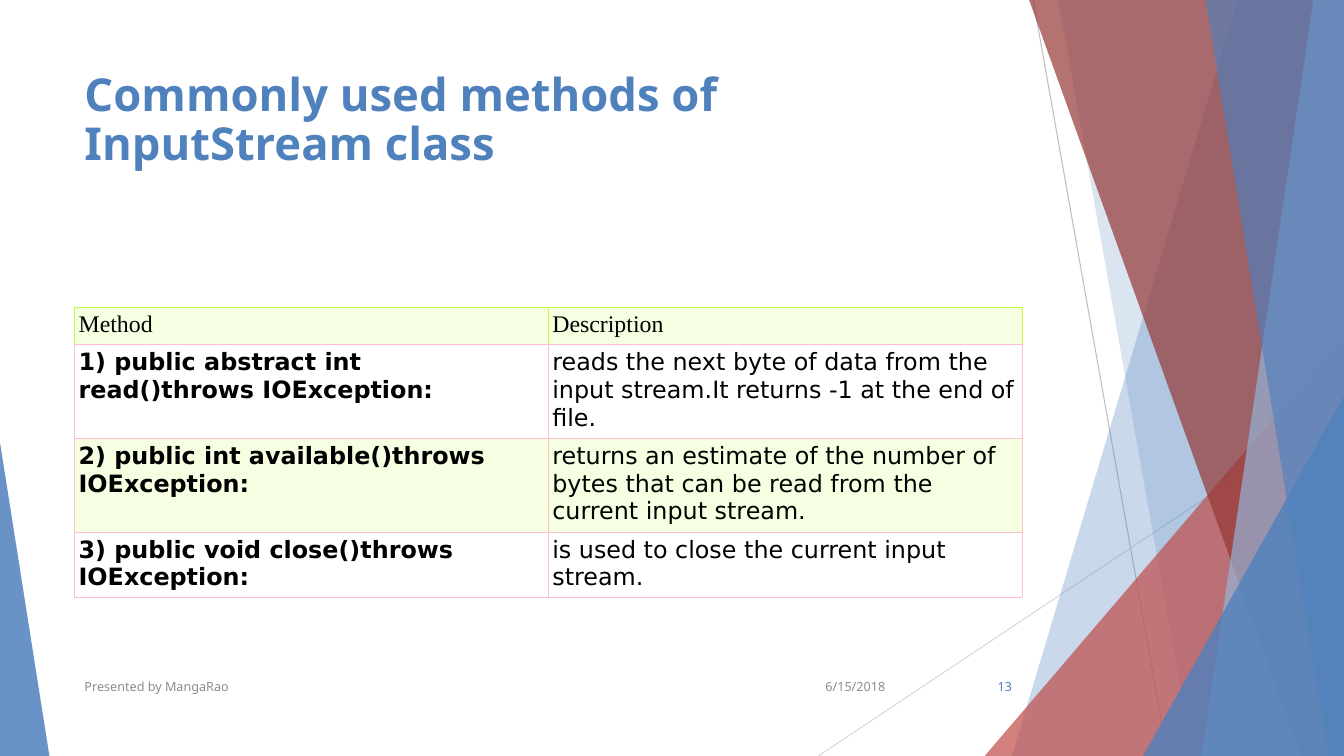
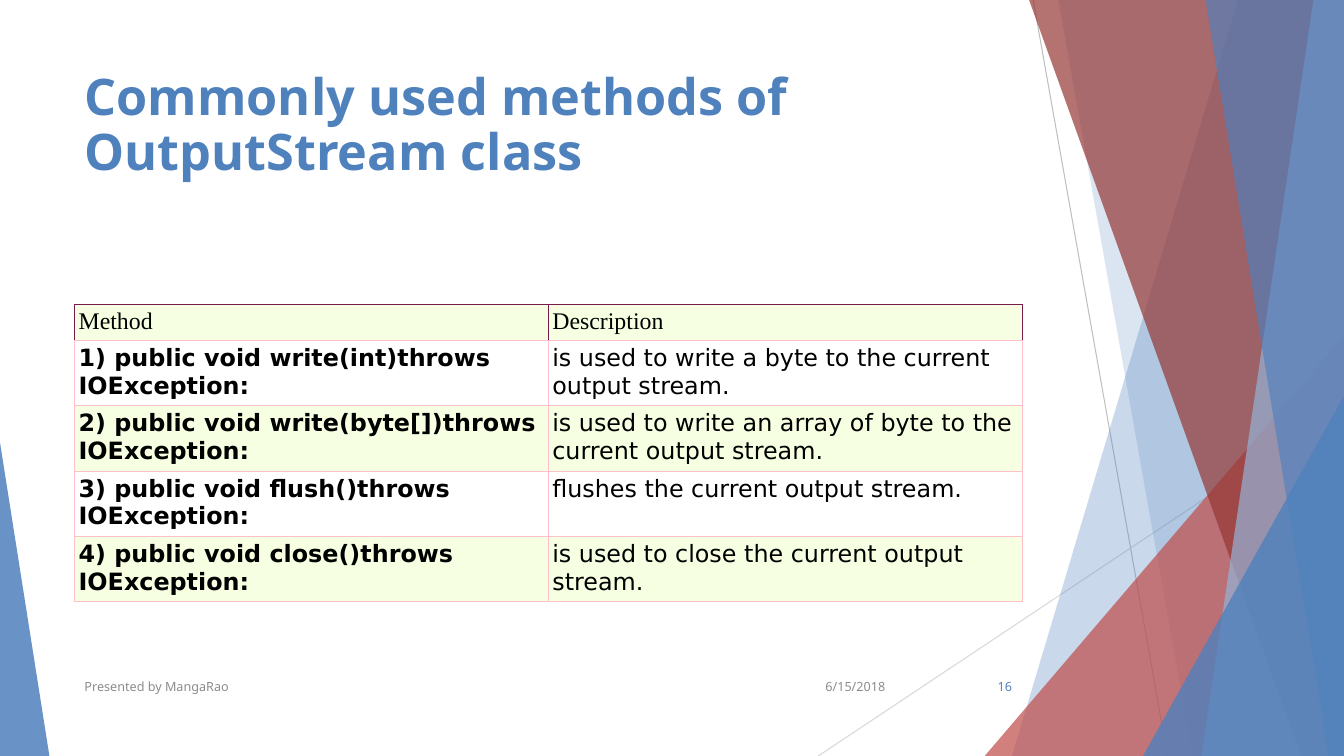
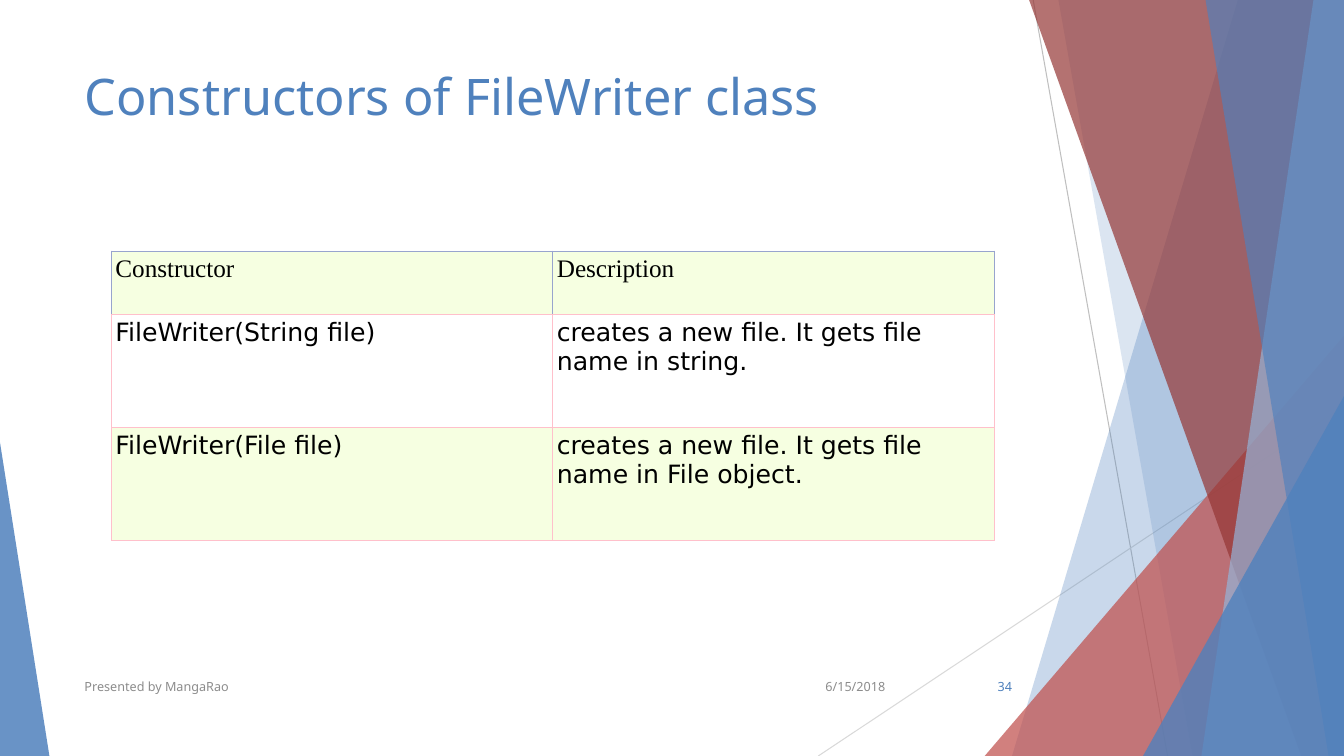
"""Build three slides that list Java stream methods and constructors in tables."""
from lxml.etree import SubElement
from pptx import Presentation
from pptx.dml.color import RGBColor
from pptx.enum.shapes import MSO_CONNECTOR as Connector, MSO_SHAPE as Shape
from pptx.enum.text import MSO_ANCHOR as Anchor, PP_ALIGN as Align
from pptx.oxml.ns import qn
from pptx.util import Pt

WIDTH, HEIGHT = 960, 540
COLORS = {
    "blue": "4F81BD", "pale_blue": "95B3D7", "red": "C0504D", "dark_red": "953735",
    "gray": "BFBFBF", "light_gray": "D9D9D9", "footer": "8C8C8C",
    "black": "000000", "white": "FFFFFF", "cream": "F6FFE1",
    "pink": "FFC0CB", "lime": "C0FC43", "plum": "781A4B", "lavender": "98A4CE",
}
TITLE_FONT, HEADER_FONT, BODY_FONT = "Noto Sans", "Times New Roman", "DejaVu Sans"
LEFT, CONTENT_WIDTH = 53.28, 676.8
CELL_MARGIN = 2.88
BORDER_WIDTH = 0.6

INPUT_ROWS = [
    ("Method", "Description"),
    ("1) public abstract int read()throws IOException:",
     "reads the next byte of data from the input stream.It returns -1 at the end of file."),
    ("2) public int available()throws IOException:",
     "returns an estimate of the number of bytes that can be read from the current input stream."),
    ("3) public void close()throws IOException:",
     "is used to close the current input stream."),
]
OUTPUT_ROWS = [
    ("Method", "Description"),
    ("1) public void write(int)throws IOException:",
     "is used to write a byte to the current output stream."),
    ("2) public void write(byte[])throws IOException:",
     "is used to write an array of byte to the current output stream."),
    ("3) public void flush()throws IOException:", "flushes the current output stream."),
    ("4) public void close()throws IOException:",
     "is used to close the current output stream."),
]
WRITER_ROWS = [
    ("Constructor", "Description"),
    ("FileWriter(String file)", "creates a new file. It gets file name in string."),
    ("FileWriter(File file)", "creates a new file. It gets file name in File object."),
]


def rgb(color):
    return RGBColor.from_string(COLORS[color])


def add_line(slide, start, end, color):
    line = slide.shapes.add_connector(Connector.STRAIGHT, *map(Pt, start + end))
    line.line.color.rgb = rgb(color)
    line.line.width = Pt(0.75)
    SubElement(line._element.spPr, qn("a:effectLst"))


def paint(shape, color, opacity):
    shape.shadow.inherit = False
    shape.line.fill.background()
    shape.fill.solid()
    shape.fill.fore_color.rgb = rgb(color)
    color_element = shape._element.spPr.find(qn("a:solidFill"))[0]
    SubElement(color_element, qn("a:alpha"), val=str(opacity * 1000))


def add_band(slide, top_x, bottom_x, color, opacity):
    builder = slide.shapes.build_freeform(Pt(top_x), 0)
    corners = [(WIDTH, 0), (WIDTH, HEIGHT), (bottom_x, HEIGHT)]
    builder.add_line_segments([(Pt(x), Pt(y)) for x, y in corners])
    paint(builder.convert_to_shape(), color, opacity)


def add_triangle(slide, left, top, width, apex, color, opacity):
    triangle = slide.shapes.add_shape(
        Shape.ISOSCELES_TRIANGLE, Pt(left), Pt(top), Pt(width), Pt(HEIGHT - top))
    triangle.adjustments[0] = apex
    paint(triangle, color, opacity)


def add_decoration(slide):
    add_line(slide, (738, 0), (834, HEIGHT), "gray")
    add_line(slide, (WIDTH, 290), (584.5, HEIGHT), "light_gray")
    add_band(slide, 884.2, 722.9, "blue", 30)
    add_band(slide, 756, 851.8, "blue", 20)
    add_triangle(slide, 703.4, 239.8, 256.6, 1, "red", 72)
    add_band(slide, 735.1, 929.5, "dark_red", 70)
    add_band(slide, 938.2, 858.2, "pale_blue", 70)
    add_band(slide, 861.1, 949, "blue", 65)
    add_triangle(slide, 816.5, 283, 143.5, 1, "blue", 80)
    add_triangle(slide, 0, 316.1, 35.3, 0, "blue", 85)


def add_run(paragraph, text, font, size, color, bold=False):
    run = paragraph.add_run()
    run.text = text
    run.font.name = font
    run.font.size = Pt(size)
    run.font.bold = bold
    run.font.color.rgb = rgb(color)


def add_text(slide, box, text, size, color, bold=False, align=Align.LEFT,
             anchor=Anchor.MIDDLE, spacing=1.0):
    frame = slide.shapes.add_textbox(*map(Pt, box)).text_frame
    frame.word_wrap = True
    frame.vertical_anchor = anchor
    paragraph = frame.paragraphs[0]
    paragraph.alignment = align
    paragraph.line_spacing = spacing
    add_run(paragraph, text, TITLE_FONT, size, color, bold)


def add_footer(slide, number):
    top, height = 475.9, 28.8
    add_text(slide, (567.4, top, 72, height), "6/15/2018", 9, "footer", align=Align.RIGHT)
    add_text(slide, (LEFT, top, 496, height), "Presented by MangaRao", 9, "footer")
    add_text(slide, (676, top, 54, height), str(number), 9, "blue", align=Align.RIGHT)


def set_borders(cell, side_color, bottom_color):
    properties = cell._tc.get_or_add_tcPr()
    sides = {"L": side_color, "R": side_color, "T": side_color, "B": bottom_color}
    for side, color in sides.items():
        line = SubElement(properties, qn(f"a:ln{side}"), w=str(Pt(BORDER_WIDTH)))
        fill = SubElement(line, qn("a:solidFill"))
        SubElement(fill, qn("a:srgbClr"), val=COLORS[color])


def fill_cell(cell, text, font, size, bold, border, background):
    cell.margin_left = cell.margin_right = Pt(CELL_MARGIN)
    cell.margin_top = cell.margin_bottom = Pt(CELL_MARGIN)
    set_borders(cell, border, "pink")
    cell.fill.solid()
    cell.fill.fore_color.rgb = rgb(background)
    add_run(cell.text_frame.paragraphs[0], text, font, size, "black", bold)


def add_method_table(slide, rows, left, top, width, heights, size, header_border, bold_names):
    frame = slide.shapes.add_table(
        len(rows), 2, Pt(left), Pt(top), Pt(width), Pt(sum(heights)))
    table = frame.table
    table.first_row = table.horz_banding = False
    for column in table.columns:
        column.width = Pt(width / 2)
    for row_index, (texts, height) in enumerate(zip(rows, heights)):
        table.rows[row_index].height = Pt(height)
        header = row_index == 0
        for column_index, text in enumerate(texts):
            fill_cell(
                table.cell(row_index, column_index), text,
                HEADER_FONT if header else BODY_FONT, size,
                bold_names and not header and column_index == 0,
                header_border if header else "pink",
                "white" if row_index % 2 else "cream")


def add_content_slide(presentation, title, title_size, title_bold, number):
    slide = presentation.slides.add_slide(presentation.slide_layouts[6])
    add_decoration(slide)
    add_text(slide, (LEFT, 48.24, CONTENT_WIDTH, 103.7), title, title_size, "blue",
             title_bold, anchor=Anchor.TOP, spacing=0.9)
    add_footer(slide, number)
    return slide


def main():
    presentation = Presentation()
    presentation.slide_width, presentation.slide_height = Pt(WIDTH), Pt(HEIGHT)

    slide = add_content_slide(
        presentation, "Commonly used methods of InputStream class", 32.4, True, 13)
    add_method_table(slide, INPUT_ROWS, LEFT, 219.6, CONTENT_WIDTH,
                     [26.4, 66.4, 66.4, 46], 17, "lime", True)

    slide = add_content_slide(
        presentation, "Commonly used methods of OutputStream class", 36, True, 16)
    add_method_table(slide, OUTPUT_ROWS, LEFT, 217.1, CONTENT_WIDTH,
                     [26] + [46.2] * 4, 17, "plum", True)

    slide = add_content_slide(
        presentation, "Constructors of FileWriter class", 36, False, 34)
    add_method_table(slide, WRITER_ROWS, 79.6, 179.3, 630.6,
                     [45.2, 80.7, 80.7], 18, "lavender", False)

    presentation.save("out.pptx")


main()
